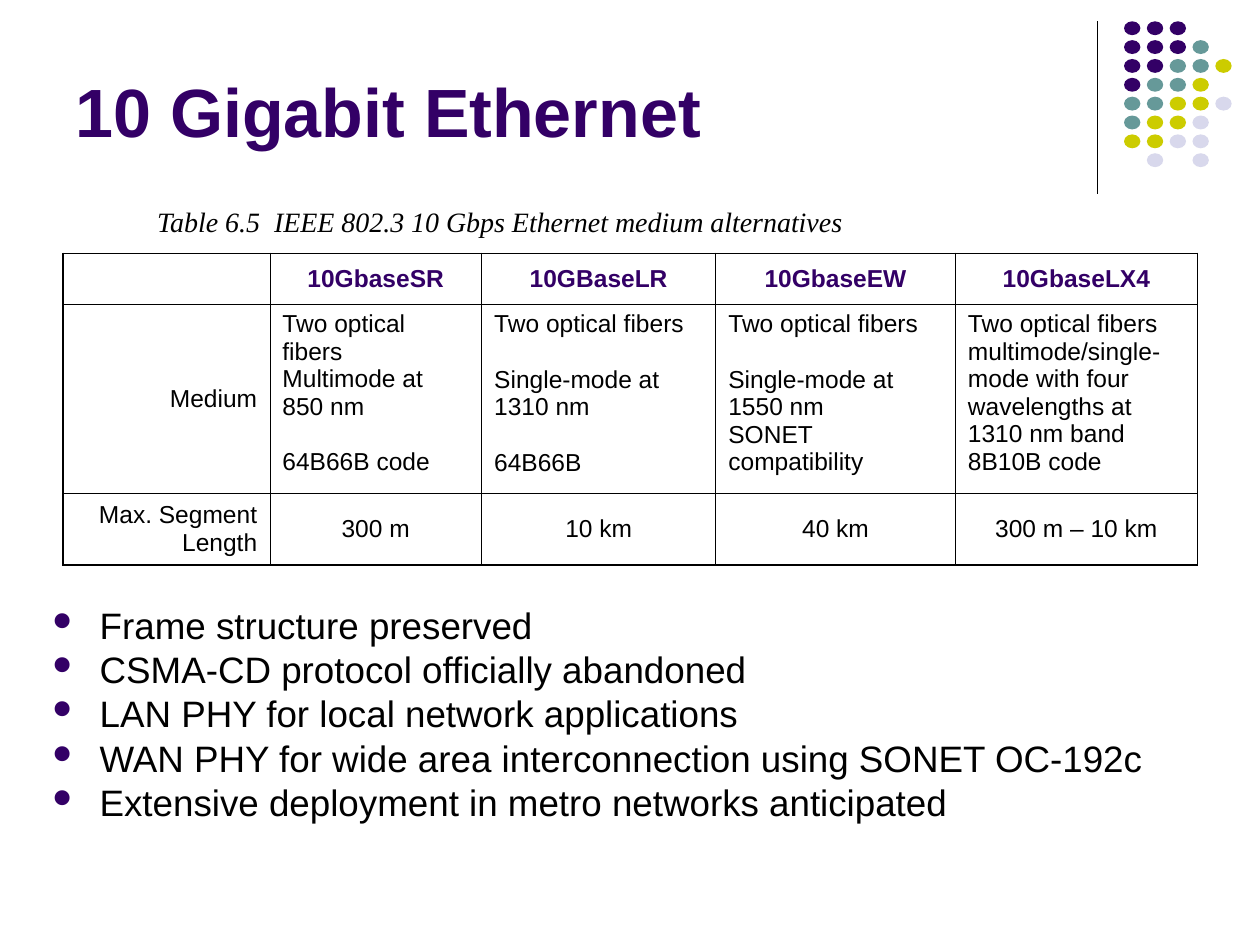
import pptx
import pptx.dml.color
import pptx.enum.shapes
import pptx.enum.text
import pptx.oxml.ns
import pptx.util

Cm, Pt = pptx.util.Cm, pptx.util.Pt
ALIGN = pptx.enum.text.PP_ALIGN
ANCHOR = pptx.enum.text.MSO_ANCHOR
SHAPE = pptx.enum.shapes.MSO_SHAPE
COLORS = {"ink": "000000", "purple": "330066", "teal": "669999",
          "olive": "CCCC00", "lilac": "D8D8EC"}
LINE_GAP = 16.1

DOT_ROWS = ["PPP", "PPPT", "PPTTO", "PTTO", "TTOOL", "TOOL", "OOLL", " L L"]
DOT_COLORS = {"P": "purple", "T": "teal", "O": "olive", "L": "lilac"}

VARIANTS = ["10GbaseSR", "10GBaseLR", "10GbaseEW", "10GbaseLX4"]
# Each line of a medium: its text and whether a line's gap stands above it
MEDIA = [
    [("Two optical fibers", 0), ("Multimode at 850 nm", 0), ("64B66B code", 1)],
    [("Two optical fibers", 0), ("Single-mode at 1310 nm", 1), ("64B66B", 1)],
    [("Two optical fibers", 0), ("Single-mode at 1550 nm", 1),
     ("SONET compatibility", 0)],
    [("Two optical fibers multimode/single-mode with four wavelengths "
      "at 1310 nm band", 0), ("8B10B code", 0)],
]
LENGTHS = ["300 m", "10 km", "40 km", "300 m – 10 km"]
FEATURES = [
    "Frame structure preserved",
    "CSMA-CD protocol officially abandoned",
    "LAN PHY for local network applications",
    "WAN PHY for wide area interconnection using SONET OC-192c",
    "Extensive deployment in metro networks anticipated",
]


def apply(target, values):
    for attribute, value in values.items():
        setattr(target, attribute, value)


def rgb(color):
    return pptx.dml.color.RGBColor.from_string(COLORS[color])


def add_xml(parent, tag, **attributes):
    element = parent.makeelement(pptx.oxml.ns.qn(tag), attributes)
    parent.append(element)
    return element


class SlideBuilder:
    def __init__(self, slide):
        self.slide = slide
        self.fonts = {
            "title": {"name": "Arial", "size": Pt(39), "bold": True},
            "caption": {"name": "Times New Roman", "size": Pt(16), "italic": True},
            "header": {"name": "Arial", "size": Pt(14), "bold": True},
            "cell": {"name": "Arial", "size": Pt(14), "bold": False},
            "feature": {"name": "Arial", "size": Pt(21)},
        }

    def add_text(self, paragraph, text, style, color="ink", **format_values):
        run = paragraph.add_run()
        run.text = text
        apply(run.font, self.fonts[style])
        run.font.color.rgb = rgb(color)
        apply(paragraph, format_values)

    def title(self, text, box):
        heading = self.slide.shapes.title
        apply(heading, box)
        apply(heading.text_frame, {"vertical_anchor": ANCHOR.BOTTOM,
                                   "word_wrap": True,
                                   "auto_size": pptx.enum.text.MSO_AUTO_SIZE.NONE})
        self.add_text(heading.text_frame.paragraphs[0], text, "title", "purple",
                      alignment=ALIGN.LEFT)

    def rule(self, x, top, bottom):
        rule = self.slide.shapes.add_connector(
            pptx.enum.shapes.MSO_CONNECTOR.STRAIGHT, x, top, x, bottom)
        rule.line.width = Pt(0.75)
        rule.line.color.rgb = rgb("ink")
        add_xml(rule._element.spPr, "a:effectLst")

    def dots(self, left, top, step_x, step_y, width, height):
        cluster = self.slide.shapes.add_group_shape()
        for row, pattern in enumerate(DOT_ROWS):
            for col, key in enumerate(pattern):
                if key == " ":
                    continue
                dot = cluster.shapes.add_shape(
                    SHAPE.OVAL, left + col * step_x, top + row * step_y,
                    width, height)
                dot.shadow.inherit = False
                dot.fill.solid()
                dot.fill.fore_color.rgb = rgb(DOT_COLORS[key])
                dot.line.fill.background()

    def caption(self, text, *box):
        frame = self.slide.shapes.add_textbox(*box).text_frame
        apply(frame, {"word_wrap": False, "vertical_anchor": ANCHOR.MIDDLE})
        self.add_text(frame.paragraphs[0], text, "caption")

    def bullets(self, lines, *box):
        frame = self.slide.shapes.add_textbox(*box).text_frame
        frame.word_wrap = True
        for index, line in enumerate(lines):
            paragraph = frame.add_paragraph() if index else frame.paragraphs[0]
            self.add_text(paragraph, line, "feature",
                          line_spacing=0.8, space_before=Pt(5.2))
            props = paragraph._p.get_or_add_pPr()
            props.set("marL", str(Cm(0.95)))
            props.set("indent", str(-Cm(0.95)))
            add_xml(add_xml(props, "a:buClr"), "a:srgbClr", val=COLORS["purple"])
            add_xml(props, "a:buSzPct", val="70000")
            add_xml(props, "a:buFont", typeface="Wingdings")
            add_xml(props, "a:buChar", char="l")

    def cell(self, cell, lines, anchor, style="cell", color="ink", **format_values):
        cell.vertical_anchor = anchor
        frame = cell.text_frame
        for index, (text, gap) in enumerate(lines):
            paragraph = frame.add_paragraph() if index else frame.paragraphs[0]
            spacing = {"space_before": Pt(LINE_GAP * gap), **format_values}
            self.add_text(paragraph, text, style, color, **spacing)

    def borders(self, cell, outer_sides):
        props = cell._tc.get_or_add_tcPr()
        for side in "LRTB":
            width = Pt(1.08 if side in outer_sides else 0.45)
            line = add_xml(props, f"a:ln{side}", w=str(width))
            add_xml(add_xml(line, "a:solidFill"), "a:srgbClr", val=COLORS["ink"])

    def table(self, left, top, widths, heights):
        last_row, last_col = len(heights) - 1, len(widths) - 1
        grid = self.slide.shapes.add_table(
            len(heights), len(widths), left, top, sum(widths), sum(heights)).table
        apply(grid, {"first_row": False, "horz_banding": False})
        for column, width in zip(grid.columns, widths):
            column.width = width
        for row, height in zip(grid.rows, heights):
            row.height = height
        for r in range(len(heights)):
            for c in range(len(widths)):
                edges = {"L": c == 0, "R": c == last_col,
                         "T": r == 0, "B": r == last_row}
                cell = grid.cell(r, c)
                self.borders(cell, [side for side, outer in edges.items() if outer])
                cell.fill.background()
        for r, label in enumerate(["Medium", "Max. Segment Length"], 1):
            self.cell(grid.cell(r, 0), [(label, 0)], ANCHOR.MIDDLE,
                      alignment=ALIGN.RIGHT, space_before=Pt(3.5))
        for c, (variant, medium, length) in enumerate(zip(VARIANTS, MEDIA, LENGTHS), 1):
            self.cell(grid.cell(0, c), [(variant, 0)], ANCHOR.MIDDLE,
                      "header", "purple", alignment=ALIGN.CENTER)
            self.cell(grid.cell(1, c), medium, ANCHOR.TOP)
            self.cell(grid.cell(2, c), [(length, 0)], ANCHOR.MIDDLE,
                      alignment=ALIGN.CENTER)


def main():
    deck = pptx.Presentation()
    apply(deck, {"slide_width": Cm(25.4), "slide_height": Cm(19.05)})
    builder = SlideBuilder(deck.slides.add_slide(deck.slide_layouts[5]))
    builder.rule(Cm(22.12), Cm(0.43), Cm(3.91))
    builder.dots(Cm(22.66), Cm(0.43), Cm(0.46), Cm(0.38), Cm(0.33), Cm(0.28))
    builder.title("10 Gigabit Ethernet", {"left": Cm(1.27), "top": Cm(0.33),
                                          "width": Cm(20.96), "height": Cm(2.84)})
    builder.caption("Table 6.5  IEEE 802.3 10 Gbps Ethernet medium alternatives",
                    Cm(2.92), Cm(3.99), Cm(14.38), Cm(0.94))
    builder.table(Cm(1.27), Cm(5.11),
                  [Cm(w) for w in (4.17, 4.27, 4.72, 4.83, 4.88)],
                  [Cm(h) for h in (0.84, 3.81, 1.45)])
    builder.bullets(FEATURES, Cm(0.81), Cm(12.19), Cm(23.67), Cm(4.78))
    deck.save("out.pptx")


if __name__ == "__main__":
    main()
